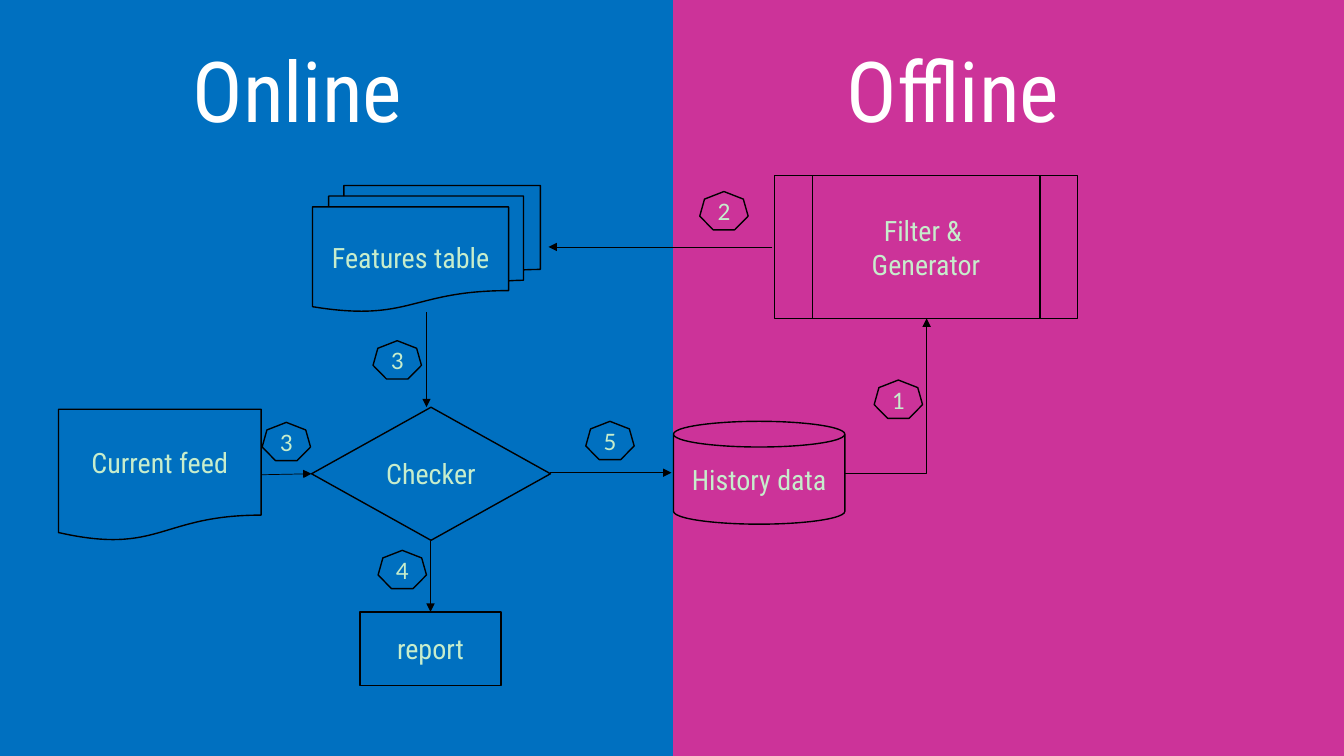
from lxml import etree
from pptx import Presentation
from pptx.dml.color import RGBColor
from pptx.enum.shapes import MSO_CONNECTOR, MSO_SHAPE
from pptx.enum.text import MSO_ANCHOR, PP_ALIGN
from pptx.oxml.ns import qn
from pptx.util import Inches, Pt

RECT, HEPTAGON = MSO_SHAPE.RECTANGLE, MSO_SHAPE.HEPTAGON
CAN, DOC = MSO_SHAPE.CAN, MSO_SHAPE.FLOWCHART_DOCUMENT
DOCS = MSO_SHAPE.FLOWCHART_MULTIDOCUMENT
PREDEF = MSO_SHAPE.FLOWCHART_PREDEFINED_PROCESS
CHOICE, PROCESS = MSO_SHAPE.FLOWCHART_DECISION, MSO_SHAPE.FLOWCHART_PROCESS
STRAIGHT, ELBOW = MSO_CONNECTOR.STRAIGHT, MSO_CONNECTOR.ELBOW
LEFT, CENTER = PP_ALIGN.LEFT, PP_ALIGN.CENTER
TOP, MIDDLE = MSO_ANCHOR.TOP, MSO_ANCHOR.MIDDLE

BLUE = RGBColor(0x00, 0x70, 0xC0)
PINK = RGBColor(0xCC, 0x33, 0x99)
MINT = RGBColor(0xC7, 0xED, 0xCC)
WHITE = RGBColor(0xFF, 0xFF, 0xFF)
BLACK = RGBColor(0, 0, 0)
HEAD_FONT, STEP_FONT = "Roboto Condensed", "Calibri"

# Places are left, top, width, height in inches
PANELS = [(BLUE, (0.01, 0.03, 6.69, 7.48)), (PINK, (6.68, 0, 6.65, 7.5))]
ONLINE = ("Online", (1.81, 0.33, 3.01, 1.11))
OFFLINE = ("Offline", (8.3, 0.33, 3.01, 1.11))
NODES = [
    ("History data", CAN, (6.68, 4.18, 1.7, 1.02)),
    ("Filter & \nGenerator", PREDEF, (7.68, 1.74, 3.01, 1.42)),
    ("Features table", DOCS, (3.1, 1.84, 2.26, 1.25)),
    ("Current feed", DOC, (0.58, 4.06, 2.01, 1.31)),
    ("Checker", CHOICE, (3.09, 4.04, 2.37, 1.32)),
    ("report", PROCESS, (3.57, 6.07, 1.4, 0.73)),
]
ARROWS = [
    (5.45, 4.69, 6.66, 4.69),  # checker to history
    (7.66, 2.45, 5.44, 2.45),  # filter to features
    (4.23, 3.1, 4.23, 4.04),   # features to checker
    (2.59, 4.71, 3.09, 4.7),   # feed to checker
    (4.27, 5.37, 4.27, 6.07),  # checker to report
]
BEND = (8.38, 4.7, 9.19, 3.16)  # history to filter
STEP_SIZE = (0.48, 0.38)
STEPS = [("5", 5.81, 4.18), ("1", 8.67, 3.77), ("2", 6.94, 1.9),
         ("3", 3.7, 3.38), ("3", 2.6, 4.19), ("4", 3.75, 5.46)]


def inches(place):
    """Turn a tuple of numbers into lengths."""
    return [Inches(n) for n in place]


def write(shape, text, size=20, font=HEAD_FONT, color=MINT, align=CENTER,
          anchor=MIDDLE):
    """Fill a shape with text, one paragraph per line."""
    frame = shape.text_frame
    frame.text = text
    frame.word_wrap = True
    frame.vertical_anchor = anchor
    for para in frame.paragraphs:
        para.alignment = align
        for run in para.runs:
            run.font.size = Pt(size)
            run.font.name = font
            run.font.color.rgb = color


def draw(kind, place, fill=None, line=BLACK):
    """Add a preset shape, hollow unless a fill is given."""
    shape = slide.shapes.add_shape(kind, *inches(place))
    shape.shadow.inherit = False
    if fill is None:
        shape.fill.background()
    else:
        shape.fill.solid()
        shape.fill.fore_color.rgb = fill
    shape.line.color.rgb = line
    shape.line.width = Pt(1)
    return shape


def arrow(ends, kind=STRAIGHT):
    """Add a thin black connector with a triangle at its end."""
    link = slide.shapes.add_connector(kind, *inches(ends))
    link.line.color.rgb = BLACK
    link.line.width = Pt(0.5)
    etree.SubElement(link.line._get_or_add_ln(), qn("a:tailEnd"),
                     type="triangle")
    etree.SubElement(link._element.spPr, qn("a:effectLst"))
    return link


def bend(x1, y1, x2, y2):
    """Add an arrow that runs right, then up, as a quarter-turned elbow."""
    mid_x, mid_y = (x1 + x2) / 2, (y1 + y2) / 2
    half_w, half_h = (y1 - y2) / 2, (x2 - x1) / 2
    link = arrow((mid_x + half_w, mid_y + half_h,
                  mid_x - half_w, mid_y - half_h), ELBOW)
    props = link._element.spPr
    props.find(qn("a:xfrm")).set("rot", str(90 * 60000))
    guides = props.find(qn("a:prstGeom")).get_or_add_avLst()
    etree.SubElement(guides, qn("a:gd"), name="adj1", fmla="val 500")


deck = Presentation()
deck.slide_width, deck.slide_height = Inches(13.33), Inches(7.5)
slide = deck.slides.add_slide(deck.slide_layouts[5])
slide.background.fill.solid()
slide.background.fill.fore_color.rgb = BLUE

for color, place in PANELS:
    draw(RECT, place, fill=color, line=color)

title = slide.shapes.title
slide.shapes._spTree.append(title._element)  # bring above the panels
title.left, title.top, title.width, title.height = inches(ONLINE[1])
label = slide.shapes.add_textbox(*inches(OFFLINE[1]))
for box, (text, _) in ((title, ONLINE), (label, OFFLINE)):
    write(box, text, size=60, color=WHITE, align=LEFT, anchor=TOP)

for text, kind, place in NODES:
    write(draw(kind, place), text)
for ends in ARROWS:
    arrow(ends)
bend(*BEND)
for text, x, y in STEPS:
    write(draw(HEPTAGON, (x, y, *STEP_SIZE)), text, size=18, font=STEP_FONT)

deck.save("out.pptx")
